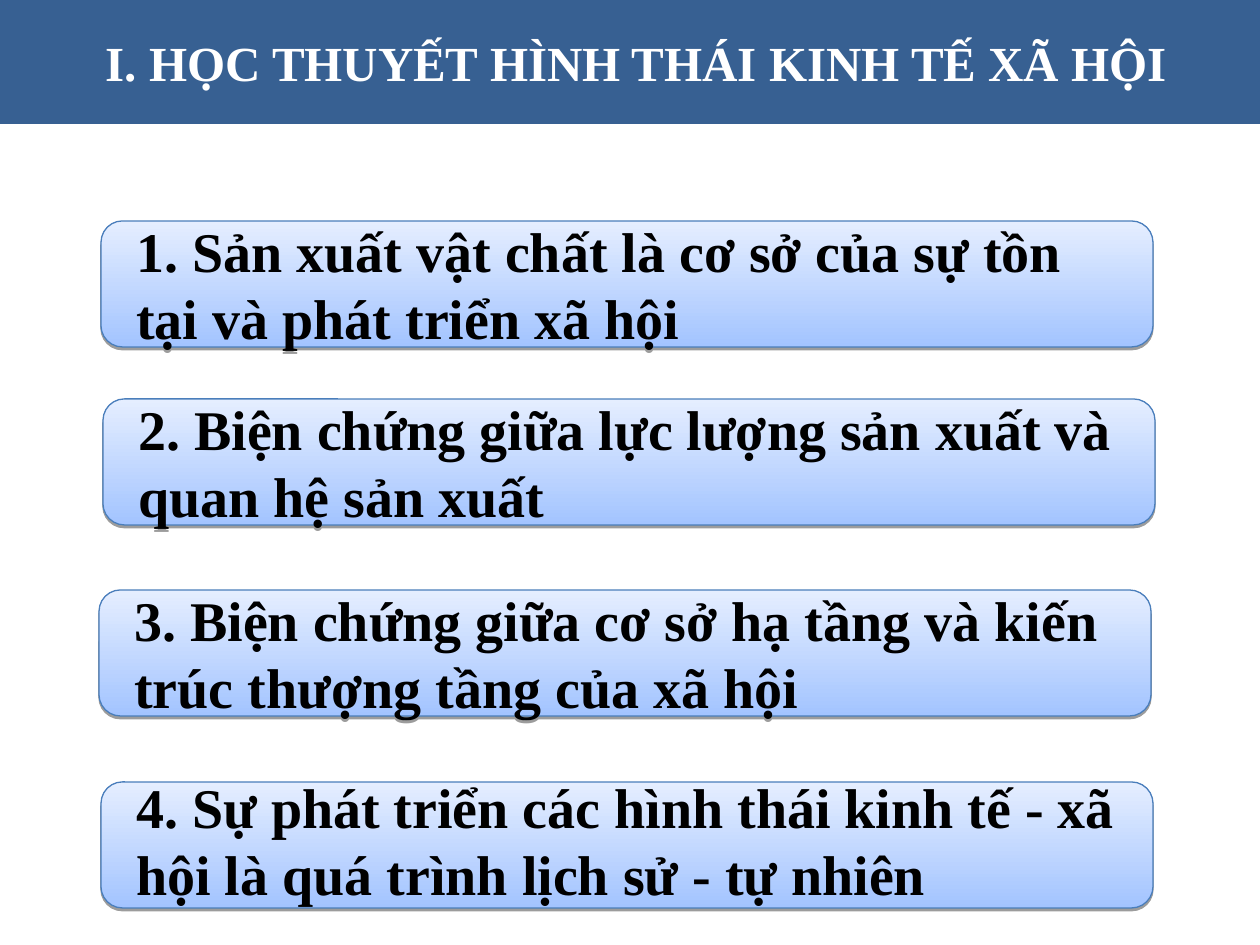
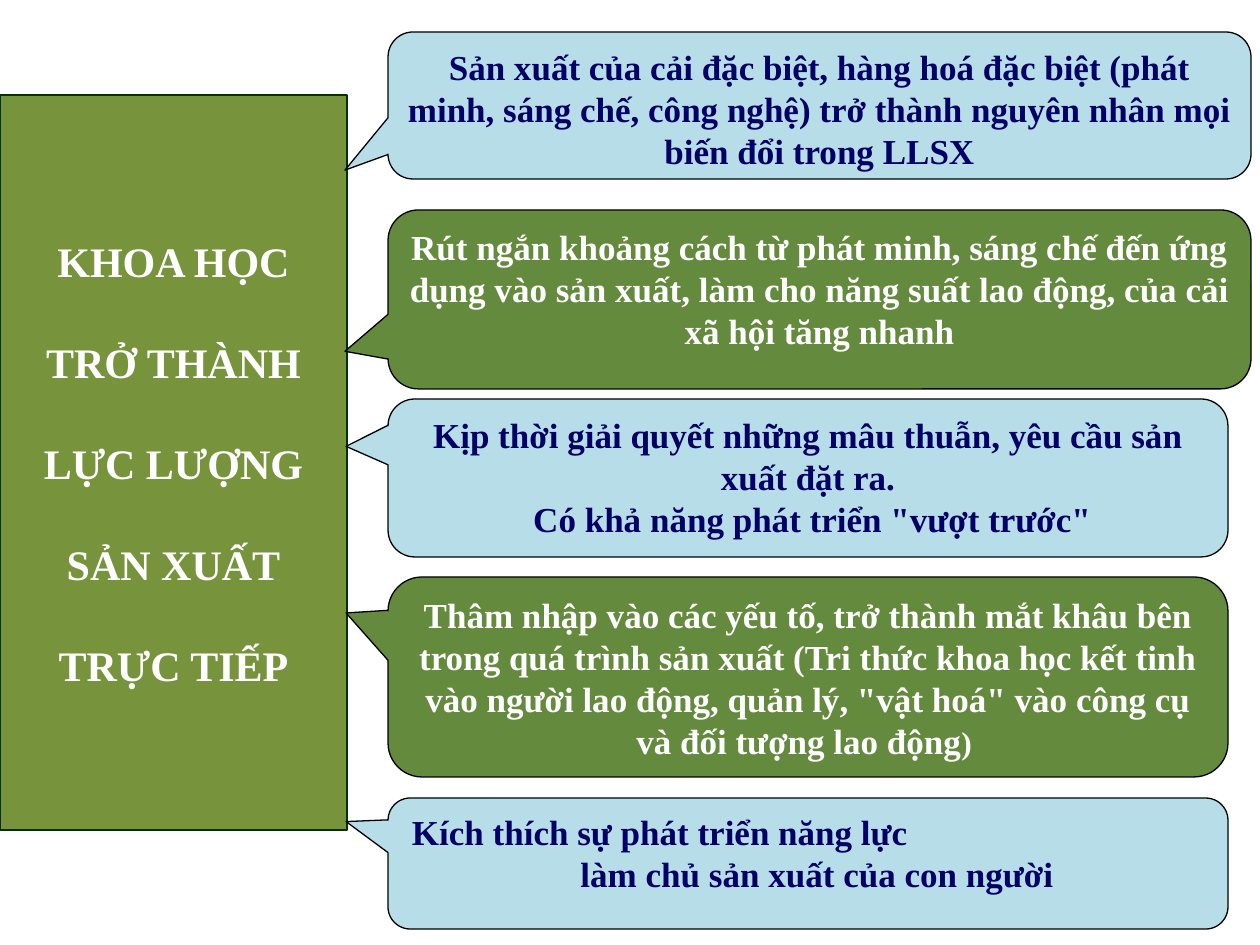
"""Build two slides on the theory of socio-economic formations."""
import dataclasses
import typing

import lxml.etree
import pptx
import pptx.dml.color
import pptx.enum.shapes
import pptx.enum.text
import pptx.oxml.ns
import pptx.util

PX = 914400 / 126
SHAPE = pptx.enum.shapes.MSO_SHAPE
ALIGN = pptx.enum.text.PP_ALIGN
ANCHOR = pptx.enum.text.MSO_ANCHOR


@dataclasses.dataclass(frozen=True)
class Theme:
    """Colours and type sizes shared by the slides."""
    font: str = "Times New Roman"
    white: str = "FFFFFF"
    black: str = "000000"
    navy: str = "000066"
    band: str = "376092"
    olive: str = "77933C"
    olive_edge: str = "003300"
    green: str = "336600"
    sky: str = "B7DEE8"
    item_low: str = "A3C4FF"
    item_high: str = "E5EEFF"
    item_edge: str = "4A7EBB"
    title_size: int = 28
    item_size: int = 32
    panel_size: int = 24
    callout_size: int = 20
    bracket_size: int = 18


THEME = Theme()


@dataclasses.dataclass(frozen=True)
class Line:
    """One paragraph, with an optional smaller ending."""
    text: str
    tail: str = ""
    align: ALIGN = ALIGN.CENTER
    indent: int = 0


@dataclasses.dataclass(frozen=True)
class Item:
    """A numbered outline entry."""
    left: int
    top: int
    text: str
    bottom_inset: int = 0


@dataclasses.dataclass(frozen=True)
class Callout:
    """A speech callout pointing at the panel."""
    top: int
    width: int
    height: int
    tip: tuple[float, float]
    lines: tuple[Line, ...]


ITEMS = (
    Item(101, 221, "1. Sản xuất vật chất là cơ sở của sự tồn tại và phát triển xã hội"),
    Item(103, 399, "2. Biện chứng giữa lực lượng sản xuất và quan hệ sản xuất"),
    Item(99, 590, "3. Biện chứng giữa cơ sở hạ tầng và kiến trúc thượng tầng của xã hội"),
    Item(101, 782, "4. Sự phát triển các hình thái kinh tế - xã hội là quá trình lịch sử - tự nhiên", 10),
)
PANEL_LINES = ("KHOA HỌC", "TRỞ THÀNH", "LỰC LƯỢNG", "SẢN XUẤT", "TRỰC TIẾP")
CALLOUTS = (
    Callout(32, 863, 147, (-0.55, 0.44), (
        Line("Sản xuất của cải đặc biệt, hàng hoá đặc biệt (phát minh, sáng chế, công nghệ) "
             "trở thành nguyên nhân mọi biến đổi trong LLSX"),)),
    Callout(210, 863, 179, (-0.55, 0.29), (
        Line("Rút ngắn khoảng cách từ phát minh, sáng chế đến ứng dụng vào sản xuất, "
             "làm cho năng suất lao động, của cải xã hội tăng nhanh"),)),
    Callout(399, 840, 158, (-0.55, -0.2), (
        Line("Kịp thời giải quyết những mâu thuẫn, yêu cầu sản xuất đặt ra."),
        Line(" Có khả năng phát triển \"vượt trước\""))),
    Callout(577, 840, 200, (-0.55, -0.32), (
        Line("Thâm nhập vào các yếu tố, trở thành mắt khâu bên trong quá trình sản xuất "
             "(Tri thức khoa học kết tinh vào người lao động, quản lý, \"vật hoá\" vào công cụ "
             "và đối tượng lao động", ") "),)),
    Callout(798, 840, 131, (-0.55, -0.32), (
        Line("Kích thích sự phát triển năng lực", align=ALIGN.LEFT, indent=5),
        Line("làm chủ sản xuất của con người", indent=18))),
)


def px(length: float) -> int:
    """Turn px into EMU."""
    return round(length * PX)


def rgb(code: str) -> pptx.dml.color.RGBColor:
    """Turn a hex code into a colour."""
    return pptx.dml.color.RGBColor.from_string(code)


def apply(target: typing.Any, formats: dict[str, typing.Any]) -> None:
    """Set every attribute named in the format values."""
    for name, value in formats.items():
        setattr(target, name, value)


def place(box: typing.Any, left: int, top: int, width: int, height: int) -> None:
    """Position a box in px."""
    apply(box, {"left": px(left), "top": px(top), "width": px(width), "height": px(height)})


def paint(box: typing.Any, fill: str, edge: str = "") -> None:
    """Give a box a solid fill and an optional thin edge."""
    box.fill.solid()
    box.fill.fore_color.rgb = rgb(fill)
    if edge:
        outline(box, edge)


def outline(box: typing.Any, edge: str) -> None:
    """Draw a thin edge."""
    box.line.color.rgb = rgb(edge)
    box.line.width = pptx.util.Pt(0.75)


def add_child(parent: typing.Any, tag: str, **values: str) -> typing.Any:
    """Append a drawing element to its parent."""
    return lxml.etree.SubElement(parent, pptx.oxml.ns.qn(tag), values)


def add_span(para: typing.Any, text: str, size: int, color: str) -> None:
    """Add a bold span of text."""
    span = para.add_run()
    span.text = text
    apply(span.font, {"name": THEME.font, "size": pptx.util.Pt(size), "bold": True})
    span.font.color.rgb = rgb(color)


def write(box: typing.Any, lines: typing.Sequence[Line], size: int, color: str,
          gap: int = 0, **frame_formats: typing.Any) -> None:
    """Fill a box with paragraphs separated by a gap in points."""
    frame = box.text_frame
    apply(frame, {"word_wrap": True, "auto_size": pptx.enum.text.MSO_AUTO_SIZE.NONE,
                  "vertical_anchor": ANCHOR.MIDDLE} | frame_formats)
    for index, line in enumerate(lines):
        para = frame.add_paragraph() if index else frame.paragraphs[0]
        apply(para, {"alignment": line.align, "space_before": pptx.util.Pt(gap if index else 0)})
        if line.indent:
            para._p.get_or_add_pPr().set("marL", str(px(line.indent)))
        add_span(para, line.text, size, color)
        if line.tail:
            add_span(para, line.tail, THEME.bracket_size, color)


def draw_item(page: typing.Any, item: Item) -> None:
    """Draw a shaded rounded bar with its text."""
    box = page.shapes.add_shape(SHAPE.ROUNDED_RECTANGLE, 0, 0, 0, 0)
    place(box, item.left, item.top, 1052, 126)
    box.adjustments[0] = 0.17
    box.fill.gradient()
    box.fill.gradient_angle = 90
    for stop, color in zip(box.fill.gradient_stops, (THEME.item_low, THEME.item_high)):
        stop.color.rgb = rgb(color)
    outline(box, THEME.item_edge)
    box.shadow.inherit = False
    effects = box._element.spPr.find(pptx.oxml.ns.qn("a:effectLst"))
    shadow = add_child(effects, "a:outerShdw", blurRad="0", dist="20320",
                       dir="5400000", rotWithShape="0")
    add_child(add_child(shadow, "a:srgbClr", val=THEME.black), "a:alpha", val="38000")
    write(box, [Line(item.text, align=ALIGN.LEFT)], THEME.item_size, THEME.black,
          margin_left=px(29), margin_right=px(28), margin_top=0,
          margin_bottom=px(item.bottom_inset))


def draw_callout(page: typing.Any, callout: Callout, is_green: bool) -> None:
    """Draw a callout in one of the two alternating styles."""
    box = page.shapes.add_shape(SHAPE.ROUNDED_RECTANGULAR_CALLOUT, 0, 0, 0, 0)
    place(box, 388, callout.top, callout.width, callout.height)
    for index, value in enumerate((*callout.tip, 0.17)):
        box.adjustments[index] = value
    paint(box, THEME.green if is_green else THEME.sky, THEME.black)
    if is_green:
        fill = box._element.spPr.find(pptx.oxml.ns.qn("a:solidFill"))
        add_child(fill[0], "a:alpha", val="76000")
    box.shadow.inherit = False
    write(box, callout.lines, THEME.callout_size, THEME.white if is_green else THEME.navy,
          vertical_anchor=ANCHOR.TOP)


def add_page(deck: typing.Any) -> typing.Any:
    """Add a page with only a title placeholder."""
    return deck.slides.add_slide(deck.slide_layouts[5])


def build_outline(deck: typing.Any) -> None:
    """Build the page that lists the four parts."""
    page = add_page(deck)
    band = page.shapes.title
    place(band, 0, 0, 1260, 124)
    paint(band, THEME.band)
    write(band, [Line(" I. HỌC THUYẾT HÌNH THÁI KINH TẾ XÃ HỘI")], THEME.title_size, THEME.white)
    for item in ITEMS:
        draw_item(page, item)


def build_science(deck: typing.Any) -> None:
    """Build the page on science as a direct productive force."""
    page = add_page(deck)
    panel = page.shapes.title
    place(panel, 0, 95, 347, 735)
    paint(panel, THEME.olive, THEME.olive_edge)
    write(panel, [Line(text) for text in PANEL_LINES], THEME.panel_size, THEME.white,
          gap=29, word_wrap=False)
    for index, callout in enumerate(CALLOUTS):
        draw_callout(page, callout, index % 2 == 1)


def main() -> None:
    """Build and save the deck."""
    deck = pptx.Presentation()
    apply(deck, {"slide_width": px(1260), "slide_height": px(945)})
    build_outline(deck)
    build_science(deck)
    deck.save("out.pptx")


if __name__ == "__main__":
    main()
